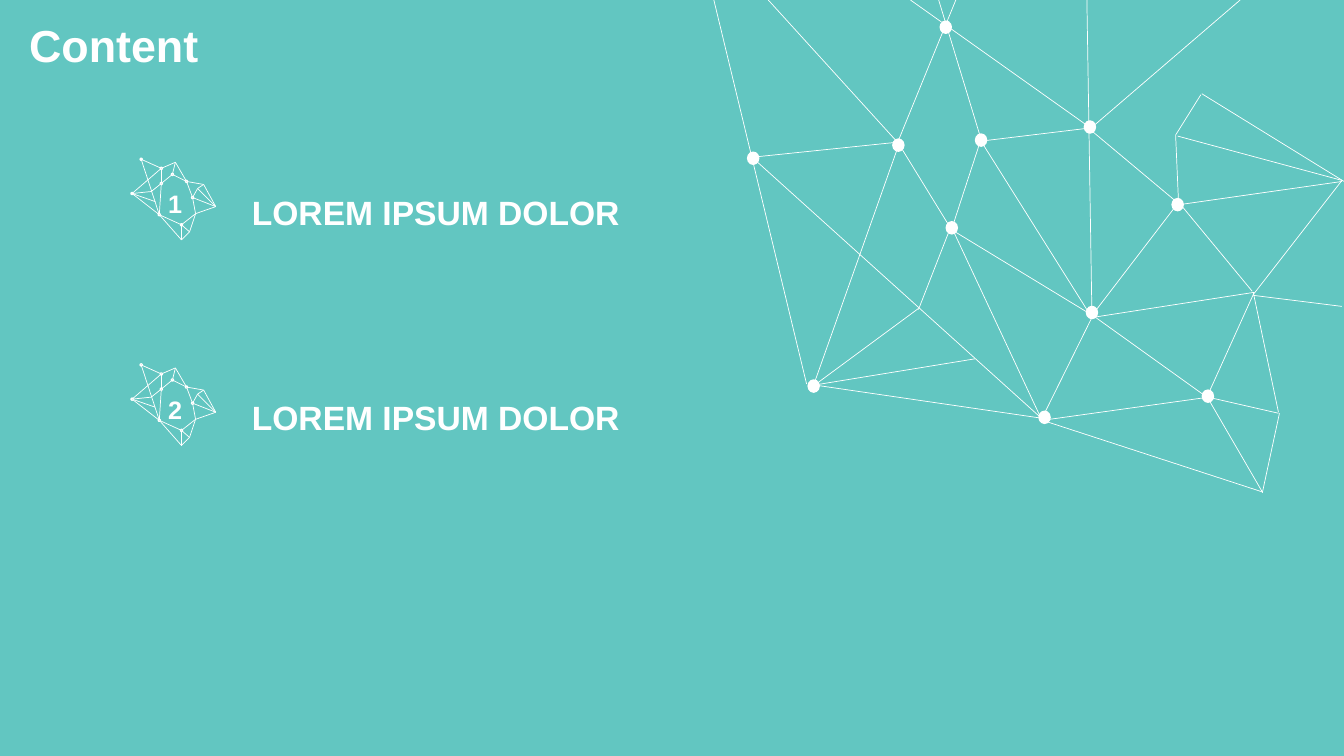
from lxml.etree import SubElement
from pptx import Presentation
from pptx.dml.color import RGBColor
from pptx.enum.shapes import MSO_CONNECTOR, MSO_SHAPE
from pptx.oxml.ns import qn
from pptx.util import Inches, Pt

# Content
TITLE = ("Content", (0.19, 0.13, 2.2, 0.64))
ITEMS = [("1", "LOREM IPSUM DOLOR"), ("2", "LOREM IPSUM DOLOR")]

# Badge: named points of the first row, edges as pairs of names
POINTS = {
    "a": (1.31, 1.92), "b": (1.6, 1.67), "c": (1.4, 1.58),
    "d": (1.58, 2.13), "e": (1.6, 1.82), "f": (1.5, 1.9),
    "g": (1.54, 2), "h": (1.74, 1.61), "i": (1.71, 1.73),
    "j": (1.85, 1.8), "k": (1.91, 1.96), "l": (2.02, 1.83),
    "m": (1.96, 1.87), "n": (1.8, 2.38), "o": (1.8, 2.23),
    "p": (1.94, 2.12), "q": (1.88, 2.3), "r": (2.14, 2.05),
}
EDGES = ("ad bc cd ba be ef fa ag hb hi ed ie hj ij jk lj mk ml dn do "
         "on po pq oq qn kp mr kr lr rp").split()
DOTS = "abejdokci"
NUMBER = (1.57, 1.82, 0.44, 0.4)
LABEL = (2.4, 1.85, 4.26, 0.5)
PITCH = 2.04

# Network: line ends (x1, y1, x2, y2) and node centres
LINKS = [
    (7.08, 0, 8, 3.81), (8.08, 3.82, 10.34, 4.15), (7.62, 0, 8.9, 1.41),
    (8.91, 1.41, 7.46, 1.56), (7.47, 1.57, 10.33, 4.15),
    (8.92, 1.42, 8.07, 3.82), (8.91, 1.42, 9.42, 2.25),
    (9.43, 2.25, 9.11, 3.07), (9.11, 3.06, 8.08, 3.82),
    (8.08, 3.82, 9.67, 3.56), (9.48, 0, 8.9, 1.42), (9.31, 0, 9.73, 1.38),
    (9.45, 2.28, 10.33, 4.16), (9.73, 1.38, 9.44, 2.27),
    (9.03, 0, 10.79, 1.25), (9.73, 1.4, 10.81, 1.27),
    (9.73, 1.4, 10.81, 3.12), (10.78, 0, 10.83, 3.13),
    (9.44, 2.28, 10.82, 3.12), (10.84, 3.13, 10.33, 4.16),
    (10.83, 3.13, 11.68, 2.02), (10.83, 1.3, 11.69, 2.02),
    (12.3, 0, 10.81, 1.28), (11.66, 1.34, 11.69, 2.03),
    (11.66, 1.34, 11.91, 0.94), (10.34, 4.17, 12.52, 4.88),
    (10.34, 4.17, 11.99, 3.94), (11.98, 3.95, 12.52, 4.88),
    (10.84, 3.13, 11.97, 3.94), (10.83, 3.15, 12.44, 2.9),
    (12.44, 2.9, 11.97, 3.94), (12.43, 2.9, 12.68, 4.09),
    (11.98, 3.94, 12.68, 4.1), (12.69, 4.1, 12.52, 4.89),
    (12.43, 2.93, 13.31, 3.04), (11.71, 2.03, 12.42, 2.89),
    (11.68, 1.35, 13.31, 1.79), (11.7, 2.03, 13.31, 1.8),
    (11.92, 0.93, 13.33, 1.8), (13.31, 1.79, 12.44, 2.91),
]
NODES = [(8.07, 3.83), (8.91, 1.44), (9.44, 2.26), (10.81, 1.26),
         (10.83, 3.1), (10.36, 4.14), (11.98, 3.93), (11.68, 2.03),
         (7.47, 1.57), (9.73, 1.39), (9.38, 0.27)]

THEME = {
    "back": RGBColor.from_string("62C6C1"),
    "ink": RGBColor.from_string("FFFFFF"),
    "dark": RGBColor.from_string("262626"),
    "title": Pt(32), "label": Pt(24), "number": Pt(18),
    "thin": Pt(0.5), "rim": Pt(1),
}


def write(host, text, box, size):
    frame = host.add_textbox(*map(Inches, box)).text_frame
    frame.word_wrap = True
    run = frame.paragraphs[0].add_run()
    run.text = text
    style = {"name": "Arial", "size": THEME[size], "bold": True}
    for key, value in style.items():
        setattr(run.font, key, value)
    run.font.color.rgb = THEME["ink"]


def link(host, start, end):
    line = host.add_connector(MSO_CONNECTOR.STRAIGHT,
                              *map(Inches, (*start, *end)))
    line.line.color.rgb = THEME["ink"]
    line.line.width = THEME["thin"]
    SubElement(line._element.spPr, qn("a:effectLst"))


def dot(host, point, wide, high, fill, turn=0):
    box = (point[0] - wide / 2, point[1] - high / 2, wide, high)
    oval = host.add_shape(MSO_SHAPE.OVAL, *map(Inches, box))
    oval.shadow.inherit = False
    oval.rotation = turn
    oval.fill.solid()
    oval.fill.fore_color.rgb = THEME[fill]
    oval.line.color.rgb = THEME["ink"]
    oval.line.width = THEME["rim"]


def badge(host, row, number, label):
    drop = row * PITCH
    spots = {name: (x, y + drop) for name, (x, y) in POINTS.items()}

    def lower(box):
        return (box[0], box[1] + drop, *box[2:])

    write(host, number, lower(NUMBER), "number")
    for start, end in EDGES:
        link(host, spots[start], spots[end])
    for name in DOTS:
        dot(host, spots[name], 0.02, 0.02, "dark", 30)
    write(host, label, lower(LABEL), "label")


def main():
    deck = Presentation()
    deck.slide_width, deck.slide_height = Inches(13.33), Inches(7.5)
    slide = deck.slides.add_slide(deck.slide_layouts[6])
    slide.background.fill.solid()
    slide.background.fill.fore_color.rgb = THEME["back"]

    # Title
    write(slide.shapes, *TITLE, "title")

    # Network
    net = slide.shapes.add_group_shape().shapes
    for x1, y1, x2, y2 in LINKS:
        link(net, (x1, y1), (x2, y2))
    for node in NODES:
        dot(net, node, 0.11, 0.12, "ink")

    # Numbered items
    for row, item in enumerate(ITEMS):
        badge(slide.shapes.add_group_shape().shapes, row, *item)

    deck.save("out.pptx")


if __name__ == "__main__":
    main()
